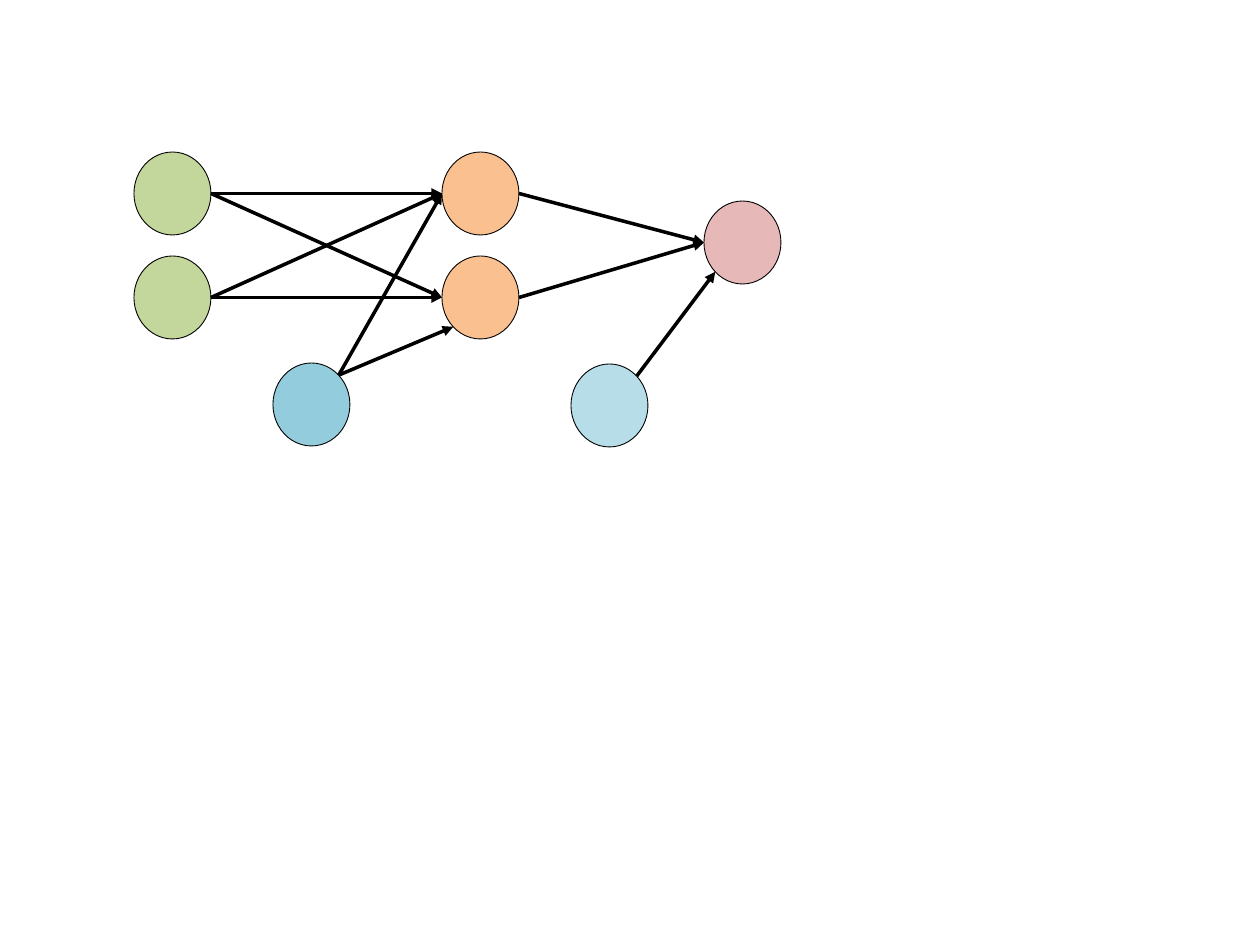
from math import cos, pi, sin

from lxml.etree import SubElement
from pptx import Presentation
from pptx.dml.color import RGBColor
from pptx.enum.shapes import MSO_CONNECTOR, MSO_SHAPE
from pptx.oxml.ns import qn
from pptx.util import Inches, Pt

PX = Inches(1) / 126
NODE_WIDTH, NODE_HEIGHT = 77, 83
COLORS = {
    "input": "C3D69B",
    "hidden": "FAC090",
    "output": "E6B9B8",
    "hidden_bias": "93CDDD",
    "output_bias": "B7DEE8",
    "line": "000000",
}
ANGLES = {"right": 0, "bottom_left": 3 * pi / 4, "left": pi, "top_right": -pi / 4}
NODES = {
    "input_1": ("input", 134, 152),
    "input_2": ("input", 134, 256),
    "hidden_1": ("hidden", 442, 152),
    "hidden_2": ("hidden", 442, 256),
    "output": ("output", 704, 201),
    "hidden_bias": ("hidden_bias", 273, 363),
    "output_bias": ("output_bias", 571, 364),
}
LAYER_EDGES = [
    ("input_1", "hidden_1"),
    ("input_1", "hidden_2"),
    ("input_2", "hidden_1"),
    ("input_2", "hidden_2"),
    ("hidden_1", "output"),
    ("hidden_2", "output"),
]
BIAS_EDGES = [
    ("hidden_bias", "hidden_1", "left"),
    ("hidden_bias", "hidden_2", "bottom_left"),
    ("output_bias", "output", "bottom_left"),
]


def emu(px):
    """Turn px into EMU."""
    return round(px * PX)


def color(name):
    """Look up a named colour."""
    return RGBColor.from_string(COLORS[name])


def rim_point(shape, side):
    """Return the point on an ellipse's rim at a named side."""
    angle = ANGLES[side]
    x = shape.left + shape.width / 2 * (1 + cos(angle))
    y = shape.top + shape.height / 2 * (1 + sin(angle))
    return round(x), round(y)


class NetworkSlide:
    """Draw the nodes and arrows of a network on one slide."""

    def __init__(self, slide, outline=0.5, stroke=2):
        """Keep the slide and its line widths in points."""
        self.slide = slide
        self.outline = Pt(outline)
        self.stroke = Pt(stroke)

    def node(self, fill, left, top):
        """Add a filled ellipse."""
        shape = self.slide.shapes.add_shape(
            MSO_SHAPE.OVAL, emu(left), emu(top), emu(NODE_WIDTH), emu(NODE_HEIGHT)
        )
        shape.shadow.inherit = False
        shape.fill.solid()
        shape.fill.fore_color.rgb = color(fill)
        shape.line.color.rgb = color("line")
        shape.line.width = self.outline
        return shape

    def arrow(self, source, target, source_side="right", target_side="left"):
        """Add an arrow between the rims of two nodes."""
        connector = self.slide.shapes.add_connector(
            MSO_CONNECTOR.STRAIGHT,
            *rim_point(source, source_side),
            *rim_point(target, target_side),
        )
        connector.line.color.rgb = color("line")
        connector.line.width = self.stroke
        SubElement(connector.line._get_or_add_ln(), qn("a:tailEnd"), type="triangle")
        SubElement(connector._element.spPr, qn("a:effectLst"))
        return connector


def main():
    """Build the neural network slide."""
    presentation = Presentation()
    presentation.slide_width = Inches(10)
    presentation.slide_height = Inches(7.5)
    network = NetworkSlide(presentation.slides.add_slide(presentation.slide_layouts[6]))
    nodes = {name: network.node(*node) for name, node in NODES.items()}
    for source, target in LAYER_EDGES:
        network.arrow(nodes[source], nodes[target])
    for source, target, side in BIAS_EDGES:
        network.arrow(nodes[source], nodes[target], "top_right", side)
    presentation.save("out.pptx")


if __name__ == "__main__":
    main()
